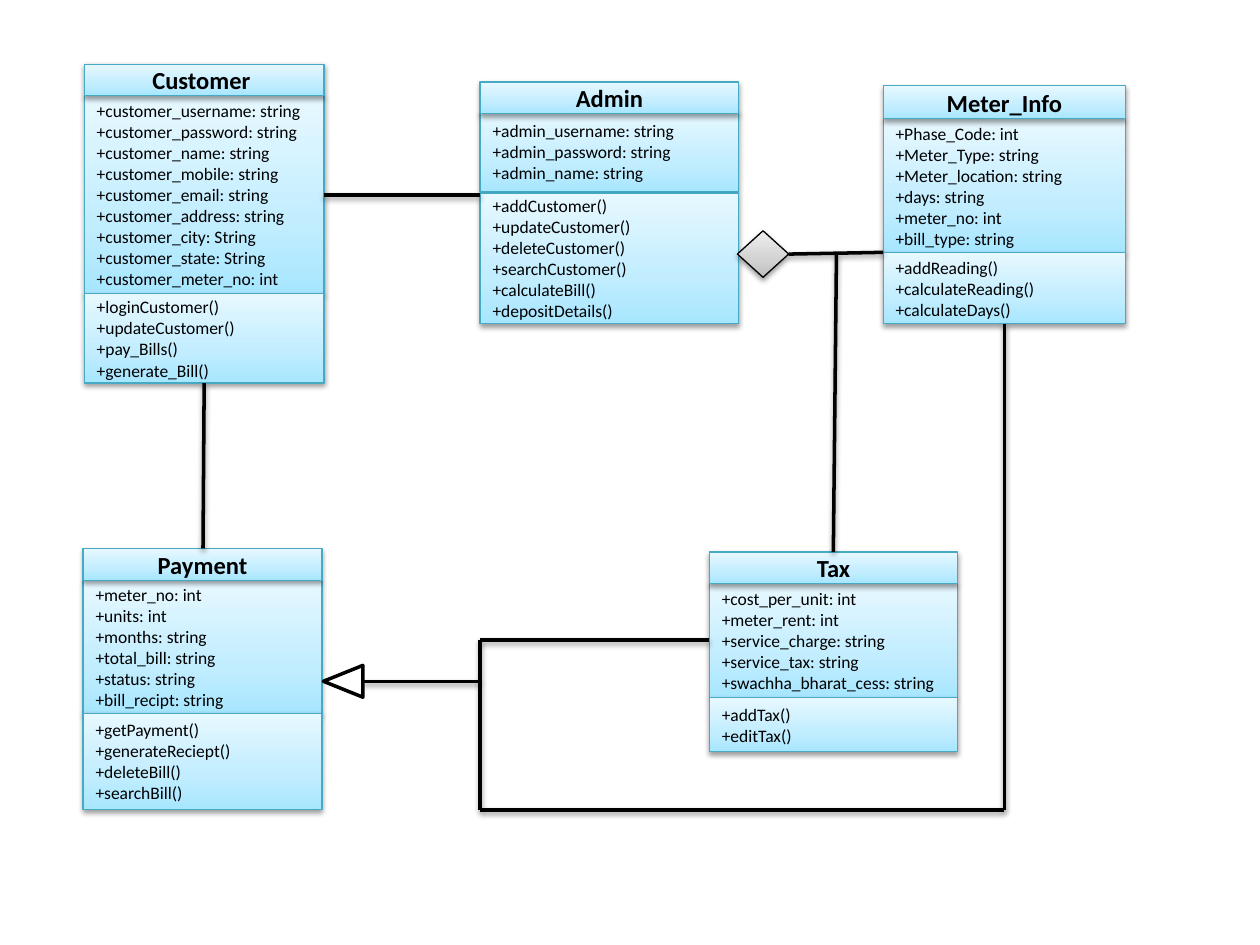
from lxml.etree import SubElement
from pptx import Presentation
from pptx.dml.color import RGBColor
from pptx.enum.shapes import MSO_CONNECTOR, MSO_SHAPE
from pptx.enum.text import MSO_ANCHOR, PP_ALIGN
from pptx.oxml.ns import qn
from pptx.util import Pt

BLACK = RGBColor(0x00, 0x00, 0x00)
WHITE = RGBColor(0xFF, 0xFF, 0xFF)
BORDER = RGBColor(0x46, 0xAA, 0xC5)
BLUES = [RGBColor(0xA7, 0xE6, 0xFF), RGBColor(0xC1, 0xED, 0xFF), RGBColor(0xE7, 0xF8, 0xFF)]
GREYS = [RGBColor(0xBD, 0xBD, 0xBD), RGBColor(0xD1, 0xD1, 0xD1), RGBColor(0xEE, 0xEE, 0xEE)]
STOPS = [0, 35, 100]

TITLE = {"size": Pt(14), "bold": True, "name": "Calibri"}
MEMBER = {"size": Pt(10), "bold": False, "name": "Calibri"}

# name, left, width, then (top, height) of title, attributes and operations
CLASSES = [
    ("Customer ", 48.2, 137, (36.7, 18), (54.7, 113.2), (167.9, 51),
     ["customer_username: string", "customer_password: string", "customer_name: string",
      "customer_mobile: string", "customer_email: string", "customer_address: string",
      "customer_city: String", "customer_state: String", "customer_meter_no: int"],
     ["loginCustomer()", "updateCustomer()", "pay_Bills()", "generate_Bill()"]),
    ("Admin", 274.4, 147.8, (46.8, 18), (63.7, 46.1), (110.5, 74.3),
     ["admin_username: string", "admin_password: string", "admin_name: string"],
     ["addCustomer()", "updateCustomer()", "deleteCustomer()", "searchCustomer()",
      "calculateBill()", "depositDetails()"]),
    ("Meter_Info", 504.7, 138.5, (49, 18.8), (67.8, 76.6), (144.2, 40.8),
     ["Phase_Code: int", "Meter_Type: string", "Meter_location: string", "days: string",
      "meter_no: int", "bill_type: string"],
     ["addReading()", "calculateReading()", "calculateDays()"]),
    ("Payment", 47.5, 136.5, (313.4, 18.2), (331.7, 76.2), (407.6, 55),
     ["meter_no: int", "units: int", "months: string", "total_bill: string",
      "status: string", "bill_recipt: string"],
     ["getPayment()", "generateReciept()", "deleteBill()", "searchBill()"]),
    ("Tax", 405.4, 141.8, (315.4, 18), (333.4, 65), (398.6, 31),
     ["cost_per_unit: int", "meter_rent: int", "service_charge: string",
      "service_tax: string", "swachha_bharat_cess: string"],
     ["addTax()", "editTax()"]),
]

LINES = [
    (185, 111.5, 274.4, 111.5),      # Customer - Admin
    (478, 145.2, 476.2, 315.4),      # aggregation - Tax
    (504.7, 144.2, 450.7, 145.2),    # Meter_Info - diamond
    (116, 313.4, 116.7, 218.9),      # Payment - Customer
    (574, 462.8, 574, 185),          # Meter_Info down
    (574, 462.8, 274.4, 462.8),      # along the bottom
    (274.4, 365.8, 274.4, 462.8),    # joining stem
    (405.4, 365.8, 274.4, 365.8),    # Tax - stem
    (207.4, 389.4, 274.4, 389.4),    # stem - triangle
]


def add_shadow(sp):
    """Give a shape or connector the soft shadow below it."""
    effects = SubElement(sp._element.spPr, qn("a:effectLst"))
    shadow = SubElement(effects, qn("a:outerShdw"), blurRad=str(Pt(3.1)), dist=str(Pt(1.6)),
                        dir="5400000", rotWithShape="0")
    color = SubElement(shadow, qn("a:srgbClr"), val=str(BLACK))
    SubElement(color, qn("a:alpha"), val="38000")


def fill_gradient(sp, colors):
    """Fill a shape with a three-stop gradient rising from the bottom."""
    sp.fill.gradient()
    sp.fill.gradient_angle = 90
    stops = sp._element.spPr.find(qn("a:gradFill")).find(qn("a:gsLst"))
    stops.clear()
    for pos, color in zip(STOPS, colors):
        stop = SubElement(stops, qn("a:gs"), pos=str(pos * 1000))
        SubElement(stop, qn("a:srgbClr"), val=str(color))


def add_node(s, kind, box, colors, border):
    """Draw a shaded shape with a thin border."""
    sp = s.shapes.add_shape(kind, *map(Pt, box))
    fill_gradient(sp, colors)
    sp.line.color.rgb = border
    sp.line.width = Pt(0.75)
    add_shadow(sp)
    return sp


def add_compartment(s, box, lines, font, align):
    """Draw one compartment of a class with a paragraph per line."""
    tf = add_node(s, MSO_SHAPE.RECTANGLE, box, BLUES, BORDER).text_frame
    tf.word_wrap = True
    tf.vertical_anchor = MSO_ANCHOR.MIDDLE
    for i, line in enumerate(lines):
        p = tf.paragraphs[0] if i == 0 else tf.add_paragraph()
        p.alignment = align
        r = p.add_run()
        r.text = line
        r.font.color.rgb = BLACK
        for key, value in font.items():
            setattr(r.font, key, value)


def add_class(s, name, left, width, title, attrs, ops, fields, methods):
    """Draw a class: attributes, then the title over them, then operations."""
    parts = [(attrs, ["+" + f for f in fields], MEMBER, PP_ALIGN.LEFT),
             (title, [name], TITLE, PP_ALIGN.CENTER),
             (ops, ["+" + m for m in methods], MEMBER, PP_ALIGN.LEFT)]
    for (top, height), lines, font, align in parts:
        add_compartment(s, (left, top, width, height), lines, font, align)


def add_line(s, *ends):
    """Draw a straight association line."""
    line = s.shapes.add_connector(MSO_CONNECTOR.STRAIGHT, *map(Pt, ends))
    line.line.color.rgb = BLACK
    line.line.width = Pt(2)
    add_shadow(line)


def add_triangle(s, *box):
    """Draw the hollow generalization head, pointing left."""
    sp = s.shapes.add_shape(MSO_SHAPE.ISOSCELES_TRIANGLE, *map(Pt, box))
    sp.rotation = 270
    sp.fill.solid()
    sp.fill.fore_color.rgb = WHITE
    sp.line.color.rgb = BLACK
    sp.line.width = Pt(2)
    sp.shadow.inherit = False


def main():
    """Build the class diagram."""
    prs = Presentation()
    prs.slide_width, prs.slide_height = Pt(720), Pt(540)
    s = prs.slides.add_slide(prs.slide_layouts[6])
    for item in CLASSES:
        add_class(s, *item)
    for ends in LINES:
        add_line(s, *ends)
    add_node(s, MSO_SHAPE.FLOWCHART_DECISION, (421.4, 131.9, 29.3, 26.6), GREYS, BLACK)
    add_triangle(s, 187, 378, 18.2, 22.6)
    prs.save("out.pptx")


main()
